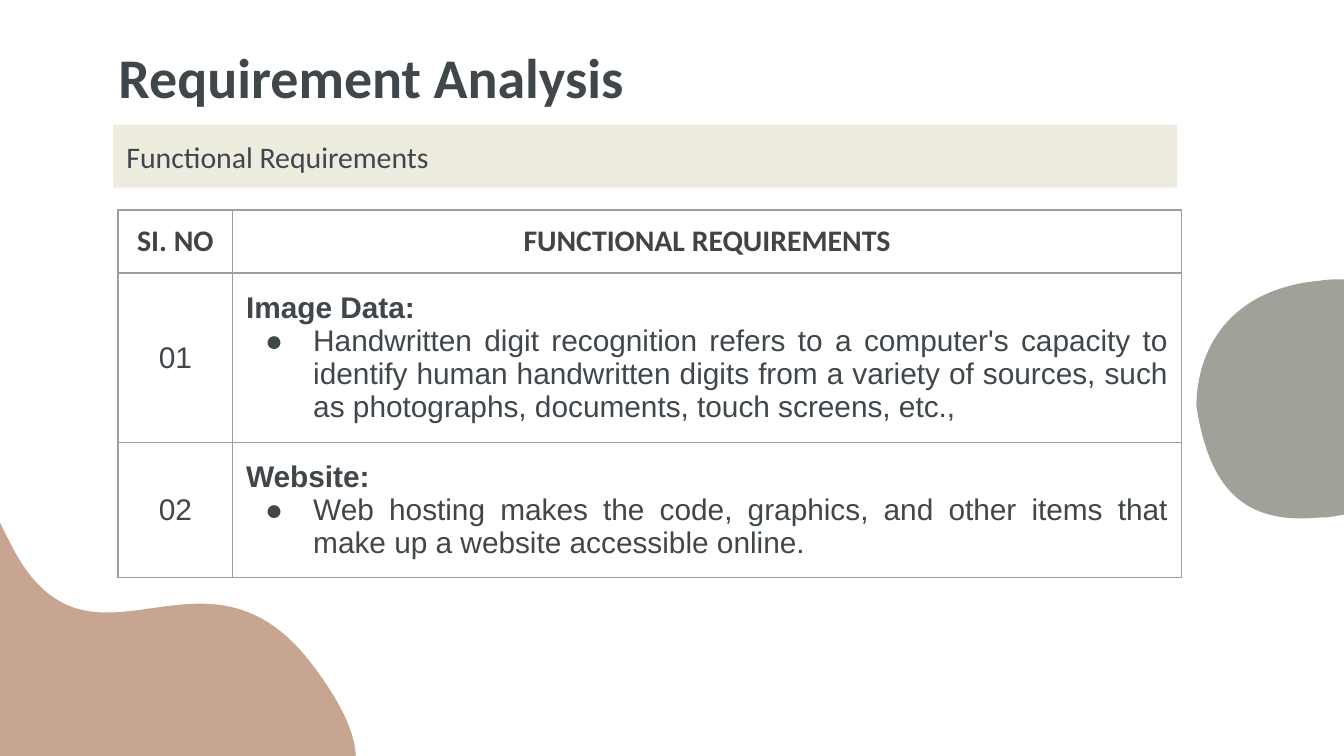
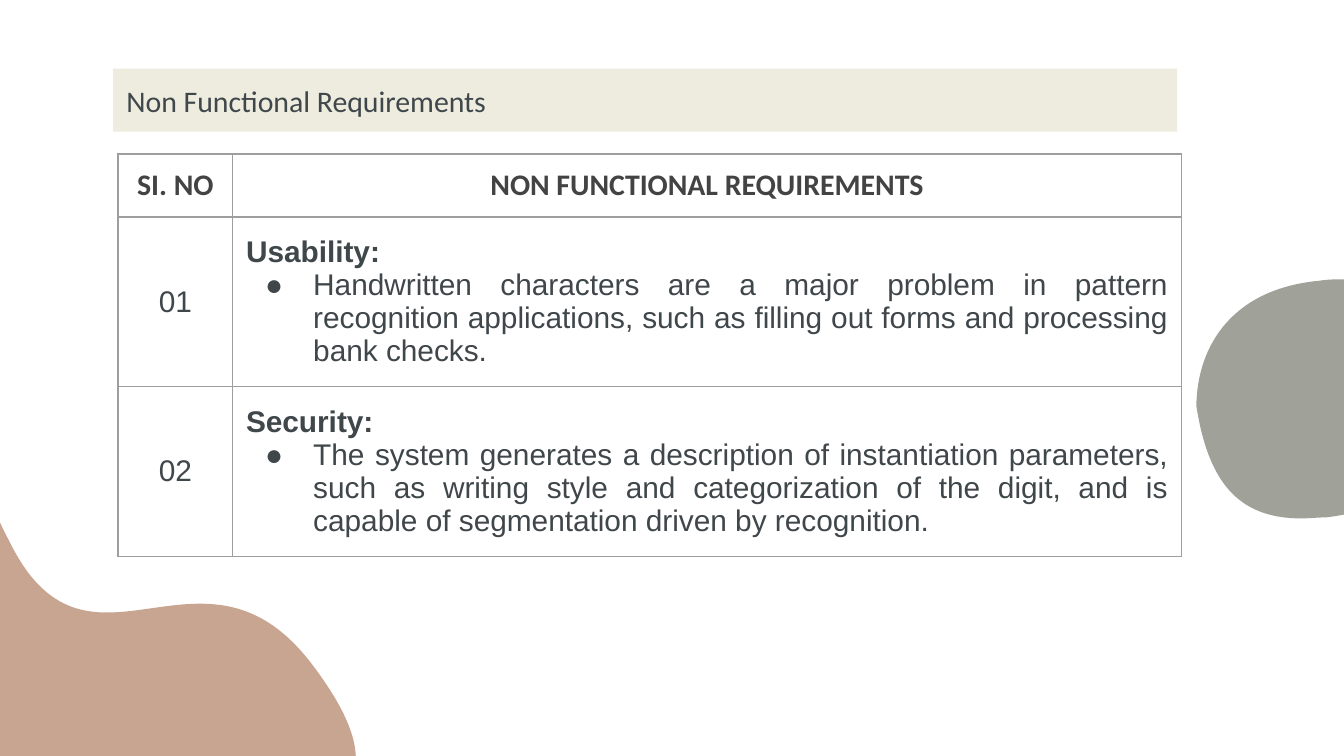
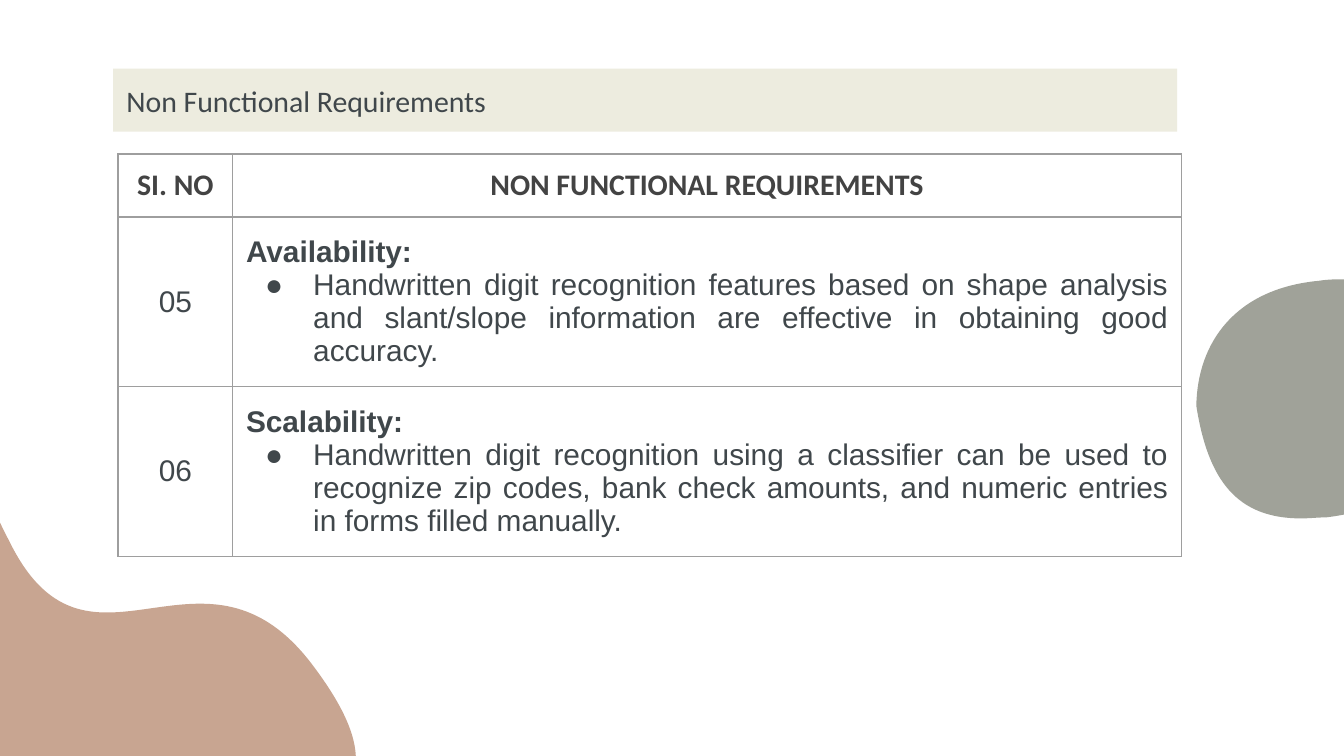
from dataclasses import dataclass
from math import cos, radians, sin
from typing import NamedTuple

from lxml import etree
from pptx import Presentation
from pptx.dml.color import RGBColor
from pptx.enum import shapes as es, text as et
from pptx.oxml import ns
from pptx.util import Cm, Pt

INK = RGBColor(0x40, 0x47, 0x4B)
HEAD = RGBColor(0x43, 0x43, 0x43)
RULE = RGBColor(0x9E, 0x9E, 0x9E)
BAND = RGBColor(0xED, 0xEC, 0xDF)
CLAY = RGBColor(0xC8, 0xA5, 0x91)
SAGE = RGBColor(0xA0, 0xA2, 0x99)
WHITE = RGBColor(0xFF, 0xFF, 0xFF)

PAD = Cm(0.25)
LEFT, MID, JUST = et.PP_ALIGN.LEFT, et.PP_ALIGN.CENTER, et.PP_ALIGN.JUSTIFY

Point = tuple[float, float]


class Blob(NamedTuple):
    color: RGBColor
    center: Point
    angle: float
    points: list[Point]


class Need(NamedTuple):
    number: str
    name: str
    detail: str
    height: float


@dataclass
class Page:
    band: str
    top: float
    needs: list[Need]
    title: str = ""


BLOBS = [
    Blob(CLAY, (1.73, 11.89), -29.4, [
        (-1.96, 7.92),
        (-1.85, 7.87), (-1.73, 7.87), (-1.57, 7.9),
        (-0.71, 8.03), (-0.71, 8.51), (0.2, 10.29),
        (1.7, 13.23), (3.86, 9.78), (5.94, 12.62),
        (7.09, 14.17), (6.93, 14.99), (5.69, 15.67),
        (5.31, 15.88), (4.85, 16.08), (4.29, 16.28),
        (1.85, 17.2), (-0.1, 15.82), (-1.04, 12.42),
        (-1.85, 9.58), (-2.44, 8.18), (-1.96, 7.92),
    ]),
    Blob(SAGE, (25.17, 7.54), 0, [
        (25.43, 5.28),
        (25.27, 5.28), (25.1, 5.28), (24.92, 5.31),
        (23.34, 5.46), (22.63, 6.48), (22.61, 7.67),
        (22.83, 9.07), (23.37, 9.8), (24.59, 9.8),
        (24.74, 9.8), (24.92, 9.78), (25.07, 9.78),
        (26.62, 9.58), (27.74, 8.84), (27.41, 6.88),
        (27.23, 5.74), (26.62, 5.28), (25.43, 5.28),
    ]),
]

PAGES = [
    Page("Functional Requirements", 2.36, [
        Need("01", "Image Data: ",
             "Handwritten digit recognition refers to a computer's capacity to identify "
             "human handwritten digits from a variety of sources, such as photographs, "
             "documents, touch screens, etc.,", 3.2),
        Need("02", "Website: ",
             "Web hosting makes the code, graphics, and other items that make up a "
             "website accessible online.", 2.54),
    ], "Requirement Analysis"),
    Page("Non Functional Requirements", 1.3, [
        Need("01", "Usability: ",
             "Handwritten characters are a major problem in pattern recognition "
             "applications, such as filling out forms and processing bank checks.", 3.2),
        Need("02", "Security: ",
             "The system generates a description of instantiation parameters, such as "
             "writing style and categorization of the digit, and is capable of "
             "segmentation driven by recognition.", 3.2),
    ]),
    Page("Non Functional Requirements", 1.3, [
        Need("05", "Availability: ",
             "Handwritten digit recognition features based on shape analysis and "
             "slant/slope information are effective in obtaining good accuracy.", 3.02),
        Need("06", "Scalability: ",
             "Handwritten digit recognition using a classifier can be used to recognize "
             "zip codes, bank check amounts, and numeric entries in forms filled "
             "manually.", 3.02),
    ]),
]


def add(parent, tag: str, **attrs: str):
    return etree.SubElement(parent, ns.qn(tag), attrs)


def write(frame, text: str, *, size: int = 16, font: str = "Arial",
          color: RGBColor = INK, bold: bool = False, align=LEFT,
          bullet: bool = False, more: bool = False) -> None:
    para = frame.add_paragraph() if more else frame.paragraphs[0]
    para.alignment = align
    run = para.add_run()
    run.text = text
    run.font.size, run.font.name, run.font.bold = Pt(size), font, bold
    run.font.color.rgb = color
    if bullet:
        props = para._p.get_or_add_pPr()
        props.set("marL", str(Cm(1.27)))
        props.set("indent", str(Cm(-0.91)))
        add(add(props, "a:buClr"), "a:srgbClr", val=str(color))
        add(props, "a:buSzPts", val=str(size * 100))
        add(props, "a:buFont", typeface=font)
        add(props, "a:buChar", char="●")


def inset(frame, anchor) -> None:
    frame.word_wrap = True
    frame.vertical_anchor = anchor
    frame.margin_left = frame.margin_right = PAD
    frame.margin_top = frame.margin_bottom = PAD


def paint(shape, color: RGBColor) -> None:
    shape.shadow.inherit = False
    shape.fill.solid()
    shape.fill.fore_color.rgb = color
    shape.line.fill.background()


def turn(point: Point, center: Point, angle: float) -> tuple[int, int]:
    dx, dy = point[0] - center[0], point[1] - center[1]
    c, s = cos(radians(angle)), sin(radians(angle))
    return Cm(center[0] + dx * c - dy * s), Cm(center[1] + dx * s + dy * c)


def bend(shape) -> None:
    lines = list(shape._element.iter(ns.qn("a:lnTo")))
    for i in range(0, len(lines), 3):
        curve = etree.Element(ns.qn("a:cubicBezTo"))
        lines[i].addprevious(curve)
        for line in lines[i:i + 3]:
            curve.append(line[0])
            line.getparent().remove(line)


def draw_blob(slide, blob: Blob) -> None:
    start, *rest = [turn(p, blob.center, -blob.angle) for p in blob.points]
    build = slide.shapes.build_freeform(*start)
    build.add_line_segments(rest, close=True)
    shape = build.convert_to_shape()
    bend(shape)
    shape.rotation = blob.angle
    paint(shape, blob.color)


def draw_title(slide, title: str) -> None:
    box = slide.shapes.add_textbox(Cm(1.99), Cm(0.82), Cm(21.44), Cm(1.5))
    inset(box.text_frame, et.MSO_ANCHOR.BOTTOM)
    write(box.text_frame, title, size=30, font="Calibri", bold=True)


def draw_band(slide, label: str, top: float) -> None:
    band = slide.shapes.add_shape(es.MSO_SHAPE.RECTANGLE,
                                  Cm(2.14), Cm(top), Cm(20.11), Cm(1.19))
    paint(band, BAND)
    inset(band.text_frame, et.MSO_ANCHOR.MIDDLE)
    band.text_frame.auto_size = et.MSO_AUTO_SIZE.SHAPE_TO_FIT_TEXT
    write(band.text_frame, label, font="Calibri")


def style_cell(cell) -> None:
    cell.vertical_anchor = et.MSO_ANCHOR.MIDDLE
    cell.margin_left = cell.margin_right = PAD
    cell.margin_top = cell.margin_bottom = PAD
    props = cell._tc.get_or_add_tcPr()
    for side in "LRTB":
        line = add(props, f"a:ln{side}", w=str(Pt(0.75)))
        add(add(line, "a:solidFill"), "a:srgbClr", val=str(RULE))
    cell.fill.background()


def draw_table(slide, page: Page) -> None:
    widths = [2.17, 17.93]
    heights = [1.19] + [need.height for need in page.needs]
    table = slide.shapes.add_table(len(heights), len(widths),
                                   Cm(2.23), Cm(page.top + 1.61),
                                   Cm(sum(widths)), Cm(sum(heights))).table
    table.first_row = table.horz_banding = False
    for col, width in zip(table.columns, widths):
        col.width = Cm(width)
    for row, height in zip(table.rows, heights):
        row.height = Cm(height)
    for cell in table.iter_cells():
        style_cell(cell)
    for i, label in enumerate(["SI. NO", page.band.upper()]):
        write(table.cell(0, i).text_frame, label, font="Calibri",
              color=HEAD, bold=True, align=MID)
    for i, need in enumerate(page.needs, 1):
        write(table.cell(i, 0).text_frame, need.number, align=MID)
        body = table.cell(i, 1).text_frame
        write(body, need.name, bold=True, align=JUST)
        write(body, need.detail, align=JUST, bullet=True, more=True)


def main() -> None:
    deck = Presentation()
    deck.slide_width, deck.slide_height = Cm(25.4), Cm(14.29)
    for page in PAGES:
        slide = deck.slides.add_slide(deck.slide_layouts[6])
        slide.background.fill.solid()
        slide.background.fill.fore_color.rgb = WHITE
        for blob in BLOBS:
            draw_blob(slide, blob)
        if page.title:
            draw_title(slide, page.title)
        draw_band(slide, page.band, page.top)
        draw_table(slide, page)
    deck.save("out.pptx")


if __name__ == "__main__":
    main()
